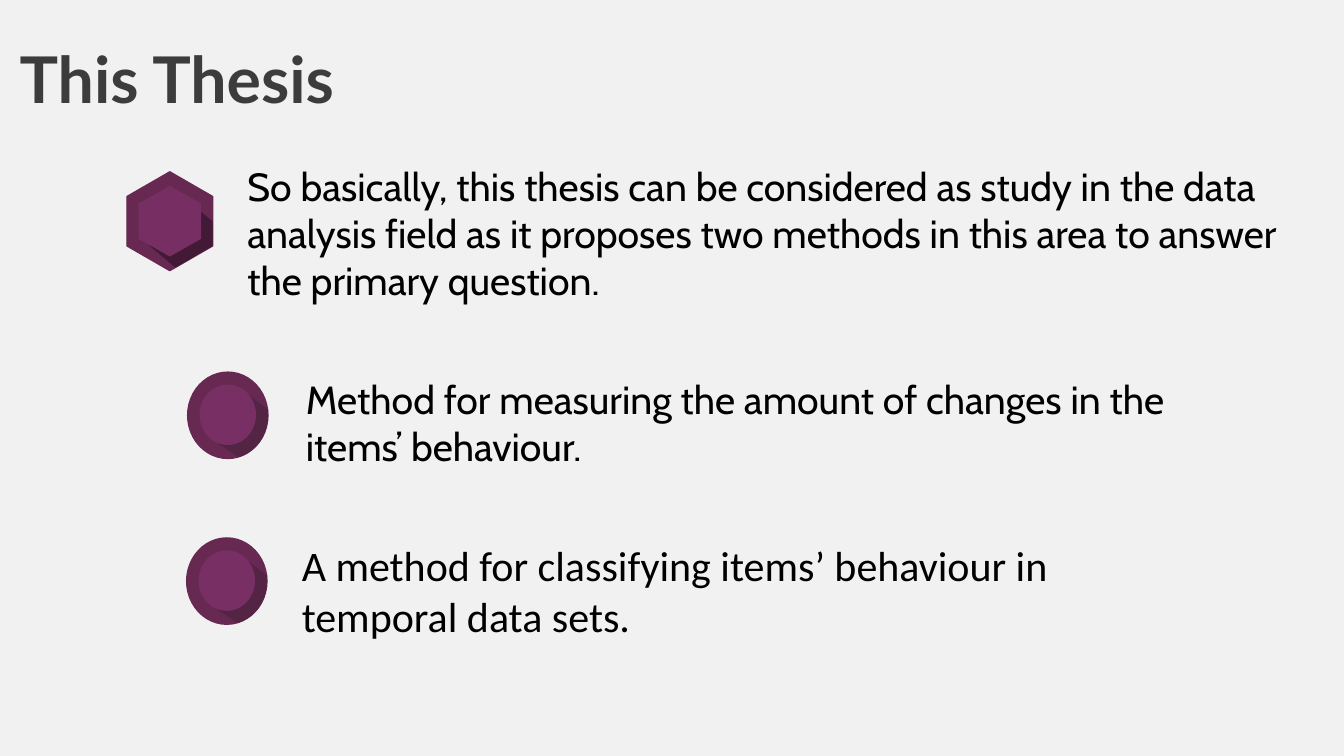
from dataclasses import dataclass

from pptx import Presentation
from pptx.dml.color import RGBColor
from pptx.enum.shapes import MSO_SHAPE
from pptx.enum.text import MSO_ANCHOR
from pptx.util import Inches, Pt

ELLIPSE = MSO_SHAPE.OVAL
TOP, MIDDLE = MSO_ANCHOR.TOP, MSO_ANCHOR.MIDDLE


@dataclass(frozen=True)
class Theme:
    background: str = "F1F1F1"
    heading: str = "3C3C3C"
    body: str = "000000"
    rim: str = "672952"
    hexagon_face: str = "772F63"
    hexagon_shadow: str = "421A36"
    disc_face: str = "782F63"
    disc_shadow: str = "542444"
    heading_size: int = 92
    body_size: int = 56
    last_size: int = 60


THEME = Theme()


def color(value):
    return RGBColor.from_string(value)


def paint(shape, fill, line_width=None):
    shape.shadow.inherit = False
    shape.fill.solid()
    shape.fill.fore_color.rgb = color(fill)
    if line_width is None:
        shape.line.fill.background()
    else:
        shape.line.color.rgb = color(fill)
        shape.line.width = Pt(line_width)


def add_text(page, place, words, font, spacing=0, inset=None, anchor=TOP):
    box = page.shapes.add_textbox(*map(Inches, place))
    frame = box.text_frame
    frame.word_wrap = True
    frame.vertical_anchor = anchor
    if inset is not None:
        for side in ("left", "top", "right", "bottom"):
            setattr(frame, f"margin_{side}", Inches(inset))
    para = frame.paragraphs[0]
    para.space_before = para.space_after = Pt(spacing)
    span = para.add_run()
    span.text = words
    format_values = dict(font)
    span.font.color.rgb = color(format_values.pop("color"))
    for name, value in format_values.items():
        setattr(span.font, name, value)


def add_outline(group, points, fill, line_width=None):
    corners = [(Inches(x), Inches(y)) for x, y in points]
    builder = group.shapes.build_freeform(*corners[0])
    builder.add_line_segments(corners[1:], close=True)
    paint(builder.convert_to_shape(), fill, line_width)


def hexagon_points(x, y, half_width, half_height):
    shoulder = half_height / 2
    return [
        (x, y - half_height), (x + half_width, y - shoulder),
        (x + half_width, y + shoulder), (x, y + half_height),
        (x - half_width, y + shoulder), (x - half_width, y - shoulder),
    ]


def curve_points(start, first, second, end, steps=16):
    """Points along a cubic curve, without its start."""
    points = []
    for step in range(1, steps + 1):
        t = step / steps
        weights = ((1 - t) ** 3, 3 * t * (1 - t) ** 2, 3 * t * t * (1 - t), t ** 3)
        points.append(tuple(
            sum(weight * value for weight, value in zip(weights, axis))
            for axis in zip(start, first, second, end)))
    return points


def add_hexagon_bullet(page, x, y):
    group = page.shapes.add_group_shape()
    add_outline(group, hexagon_points(x, y, 0.85, 0.98), THEME.rim, 2)
    shadow = [(0.11, 0.92), (0.85, 0.49), (0.85, 0), (0.59, -0.21), (-0.42, 0.47)]
    add_outline(group, [(x + dx, y + dy) for dx, dy in shadow], THEME.hexagon_shadow)
    add_outline(group, hexagon_points(x, y, 0.62, 0.7), THEME.hexagon_face)


def add_disc(group, x, y, width, height, fill):
    disc = group.shapes.add_shape(ELLIPSE, *map(Inches, (x, y, width, height)))
    paint(disc, fill)


def add_disc_bullet(page, left, top):
    group = page.shapes.add_group_shape()
    add_disc(group, left, top, 1.62, 1.74, THEME.rim)
    lower = (1.03, 1.7)
    rounded = curve_points(lower, lower, (1.66, 1.53), (1.61, 0.76))
    shadow = [(0.63, 1.44), lower, *rounded, (1.22, 0.46)]
    add_outline(group, [(left + dx, top + dy) for dx, dy in shadow], THEME.disc_shadow)
    add_disc(group, left + 0.25, top + 0.26, 1.12, 1.2, THEME.disc_face)


def main():
    deck = Presentation()
    deck.slide_width, deck.slide_height = Inches(26.67), Inches(15)
    page = deck.slides.add_slide(deck.slide_layouts[6])
    page.background.fill.solid()
    page.background.fill.fore_color.rgb = color(THEME.background)

    heading = {"name": "Lato", "size": Pt(THEME.heading_size),
               "bold": True, "color": THEME.heading}
    body = {"name": "Cabin", "size": Pt(THEME.body_size), "color": THEME.body}
    last = {**body, "name": "Calibri", "size": Pt(THEME.last_size)}

    # Title
    add_text(page, (0.39, 0.72, 15.75, 1.65), "This Thesis", heading,
             inset=0, anchor=MIDDLE)

    # Main statement
    add_hexagon_bullet(page, 3.37, 4.39)
    add_text(page, (4.81, 3.17, 21.12, 2.93),
             "So basically, this thesis can be considered as study in the data "
             "analysis field as it proposes two methods in this area to answer "
             "the primary question.", body, spacing=12)

    # The two methods
    add_disc_bullet(page, 3.71, 7.37)
    add_text(page, (5.97, 7.4, 18.08, 1.99),
             "Method for measuring the amount of changes in the "
             "items’ behaviour.", body, spacing=12)
    add_disc_bullet(page, 3.69, 10.66)
    add_text(page, (5.89, 10.66, 18.16, 2.12),
             "A method for classifying items’ behaviour in "
             "temporal data sets.", last)

    deck.save("out.pptx")


if __name__ == "__main__":
    main()
